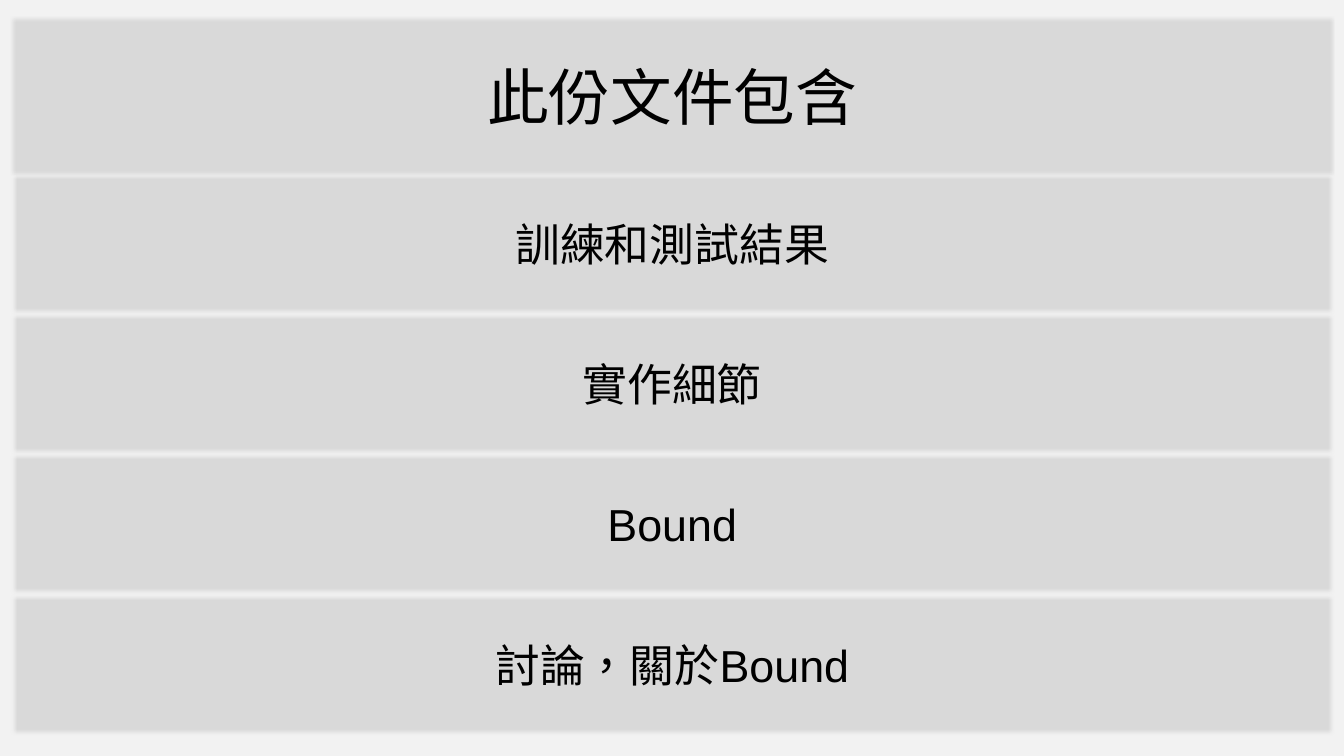
from dataclasses import dataclass

from lxml.etree import SubElement
from pptx import Presentation
from pptx.dml.color import RGBColor
from pptx.enum.lang import MSO_LANGUAGE_ID
from pptx.enum.shapes import MSO_SHAPE
from pptx.enum.text import MSO_ANCHOR, PP_ALIGN
from pptx.oxml.ns import qn
from pptx.util import Pt


@dataclass(frozen=True)
class Theme:
    back: RGBColor = RGBColor(0xF2, 0xF2, 0xF2)
    band: RGBColor = RGBColor(0xD9, 0xD9, 0xD9)
    ink: RGBColor = RGBColor(0, 0, 0)
    font: str = "Arial"
    title: int = 44
    item: int = 32
    blur: float = 2.5


class Page:
    def __init__(self, deck, theme):
        self.theme = theme
        self.slide = deck.slides.add_slide(deck.slide_layouts[6])
        fill = self.slide.background.fill
        fill.solid()
        fill.fore_color.rgb = theme.back

    def band(self, text, top, height, size):
        """Draw a full-width, soft-edged band with centred text."""
        box = self.slide.shapes.add_shape(
            MSO_SHAPE.RECTANGLE, Pt(7.2), Pt(top), Pt(946), Pt(height))
        box.fill.solid()
        box.fill.fore_color.rgb = self.theme.band
        box.line.fill.background()
        self.soften(box)
        frame = box.text_frame
        frame.text = text
        frame.vertical_anchor = MSO_ANCHOR.MIDDLE
        para = frame.paragraphs[0]
        para.alignment = PP_ALIGN.CENTER
        font = para.runs[0].font
        font.name = self.theme.font
        font.size = Pt(size)
        font.color.rgb = self.theme.ink
        font.language_id = MSO_LANGUAGE_ID.TRADITIONAL_CHINESE

    def soften(self, box):
        """Replace the shadow by a soft edge."""
        box.shadow.inherit = False
        effects = box._element.spPr.find(qn("a:effectLst"))
        SubElement(effects, qn("a:softEdge"), rad=str(Pt(self.theme.blur)))


def main():
    deck = Presentation()
    deck.slide_width, deck.slide_height = Pt(960), Pt(540)
    theme = Theme()
    page = Page(deck, theme)

    # Topics, evenly stacked
    topics = ["訓練和測試結果", "實作細節", "Bound", "討論，關於Bound"]
    for row, topic in enumerate(topics):
        page.band(topic, 123.1 + row * 100.2, 101.5, theme.item)

    # Heading
    page.band("此份文件包含", 12.2, 113, theme.title)

    deck.save("out.pptx")


if __name__ == "__main__":
    main()
